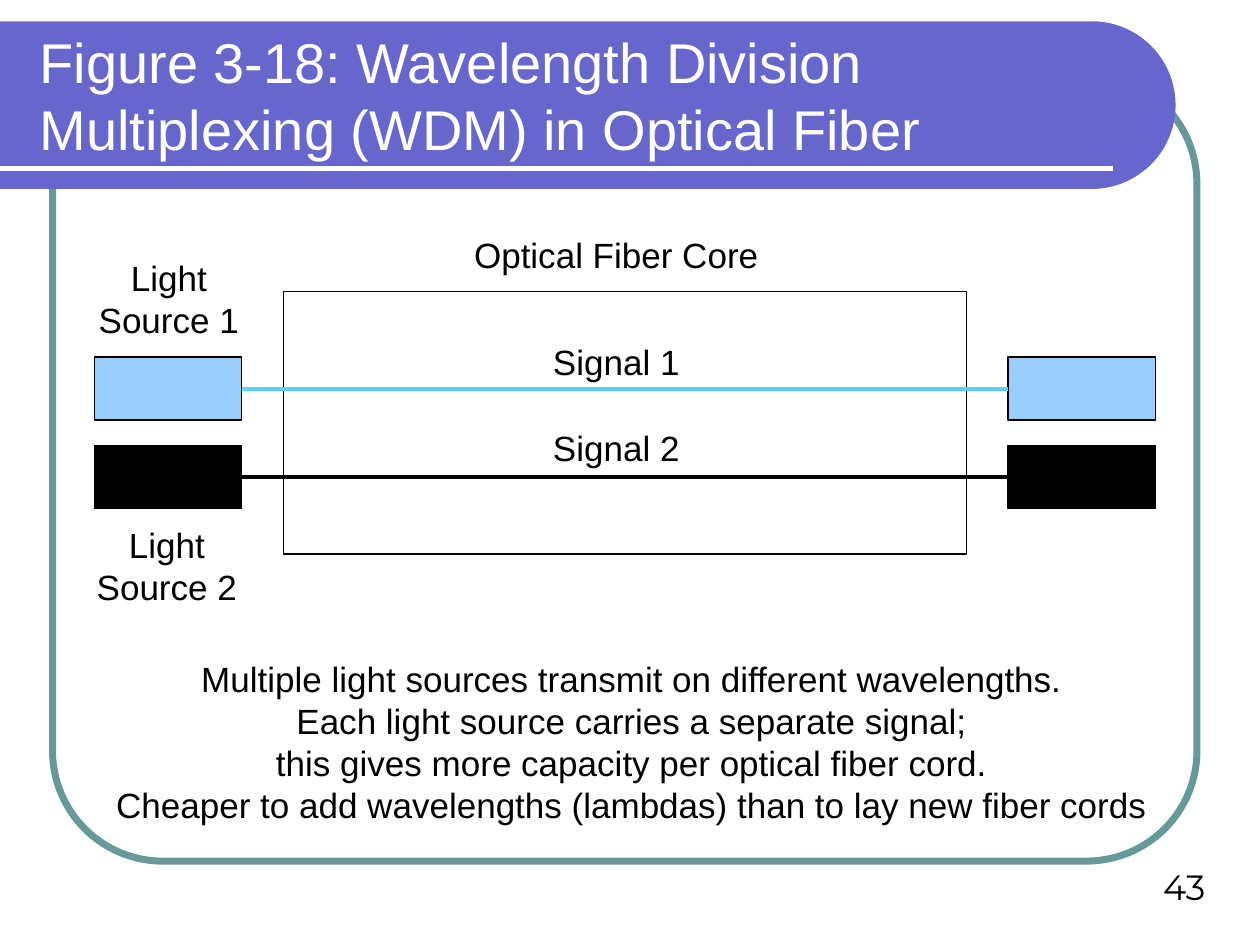
from math import cos, pi, sin
from typing import NamedTuple

from lxml import etree
from pptx import Presentation
from pptx import util as u
from pptx.dml.color import RGBColor
from pptx.enum import shapes as s, text as t
from pptx.oxml import ns
from pptx.util import Cm

WHITE = RGBColor(0xFF, 0xFF, 0xFF)
BLACK = RGBColor(0, 0, 0)
TEAL = RGBColor(0x66, 0x99, 0x99)
PURPLE = RGBColor(0x66, 0x66, 0xCC)
PALE = RGBColor(0x99, 0xCC, 0xFF)
SKY = RGBColor(0x66, 0xCC, 0xFF)


class Box(NamedTuple):
    left: float
    top: float
    width: float
    height: float


class Label(NamedTuple):
    box: Box
    lines: tuple[str, ...]
    size: float = 20
    font: str = "Arial"
    color: RGBColor = BLACK
    align: t.PP_ALIGN = t.PP_ALIGN.CENTER
    anchor: t.MSO_ANCHOR = t.MSO_ANCHOR.TOP
    wrap: bool = False


class Channel(NamedTuple):
    top: float
    fill: RGBColor
    beam: RGBColor


LEFT, RIGHT, WIDTH, HEIGHT = 1.9, 20.32, 2.97, 1.27
CHANNELS = (Channel(7.2, PALE, SKY), Channel(8.98, BLACK, BLACK))
LABELS = (
    Label(Box(0.55, 0.64, 22.28, 2.54),
          ("Figure 3-18: Wavelength Division Multiplexing (WDM) in Optical Fiber",),
          32, color=WHITE, align=t.PP_ALIGN.LEFT,
          anchor=t.MSO_ANCHOR.MIDDLE, wrap=True),
    Label(Box(9.2, 4.59, 6.45, 1.11), ("Optical Fiber Core",)),
    Label(Box(1.64, 5.05, 3.53, 1.96), ("Light", "Source 1")),
    Label(Box(1.6, 10.42, 3.53, 1.96), ("Light", "Source 2")),
    Label(Box(1.99, 13.12, 21.49, 3.66),
          ("Multiple light sources transmit on different wavelengths.",
           "Each light source carries a separate signal;",
           "this gives more capacity per optical fiber cord.",
           "Cheaper to add wavelengths (lambdas) than to lay new fiber cords")),
    Label(Box(10.7, 6.73, 3.45, 1.11), ("Signal 1",)),
    Label(Box(10.7, 8.47, 3.45, 1.11), ("Signal 2",)),
    Label(Box(18.63, 17.15, 5.92, 1.27), ("43",), font="Montserrat",
          align=t.PP_ALIGN.RIGHT, anchor=t.MSO_ANCHOR.BOTTOM, wrap=True),
)


def add_box(slide, box: Box, fill: RGBColor | None, line: RGBColor = BLACK,
            weight: float = 0.75, kind=s.MSO_SHAPE.RECTANGLE):
    shape = slide.shapes.add_shape(kind, *map(Cm, box))
    shape.shadow.inherit = False
    if fill is None:
        shape.fill.background()
    else:
        shape.fill.solid()
        shape.fill.fore_color.rgb = fill
    shape.line.color.rgb = line
    shape.line.width = u.Pt(weight)
    return shape


def add_line(slide, start: float, end: float, y: float,
             color: RGBColor, weight: float) -> None:
    line = slide.shapes.add_connector(
        s.MSO_CONNECTOR.STRAIGHT, Cm(start), Cm(y), Cm(end), Cm(y))
    line.line.color.rgb = color
    line.line.width = u.Pt(weight)
    etree.SubElement(line._element.spPr, ns.qn("a:effectLst"))


def add_label(slide, label: Label) -> None:
    frame = slide.shapes.add_textbox(*map(Cm, label.box)).text_frame
    frame.word_wrap = label.wrap
    frame.vertical_anchor = label.anchor
    if not label.wrap:
        frame.auto_size = t.MSO_AUTO_SIZE.SHAPE_TO_FIT_TEXT
    frame.text = "\n".join(label.lines)
    for par in frame.paragraphs:
        par.alignment = label.align
        par.font.size = u.Pt(label.size)
        par.font.name = label.font
        par.font.color.rgb = label.color


def add_banner(slide) -> None:
    mid, end, radius, steps = 2.12, 22.01, 1.69, 48
    angles = [pi * step / steps - pi / 2 for step in range(steps + 1)]
    points = [(Cm(end + radius * cos(a)), Cm(mid + radius * sin(a))) for a in angles]
    path = slide.shapes.build_freeform(0, Cm(mid - radius))
    path.add_line_segments(points + [(0, Cm(mid + radius))], close=True)
    banner = path.convert_to_shape()
    banner.shadow.inherit = False
    banner.fill.solid()
    banner.fill.fore_color.rgb = PURPLE
    banner.line.fill.background()


def main() -> None:
    deck = Presentation()
    deck.slide_width, deck.slide_height = Cm(25.4), Cm(19.05)
    slide = deck.slides.add_slide(deck.slide_layouts[6])
    frame = add_box(slide, Box(1.06, 1.48, 23.07, 15.88), None, TEAL, 4,
                    s.MSO_SHAPE.ROUNDED_RECTANGLE)
    frame.adjustments[0] = 0.14
    add_banner(slide)
    add_line(slide, 0, 22.44, 3.39, WHITE, 3)
    add_box(slide, Box(5.72, 5.88, 13.76, 5.29), WHITE)
    for chan in CHANNELS:
        for left in (LEFT, RIGHT):
            add_box(slide, Box(left, chan.top, WIDTH, HEIGHT), chan.fill)
        add_line(slide, LEFT + WIDTH, RIGHT, chan.top + HEIGHT / 2, chan.beam, 2.25)
    for label in LABELS:
        add_label(slide, label)
    deck.save("out.pptx")


if __name__ == "__main__":
    main()
